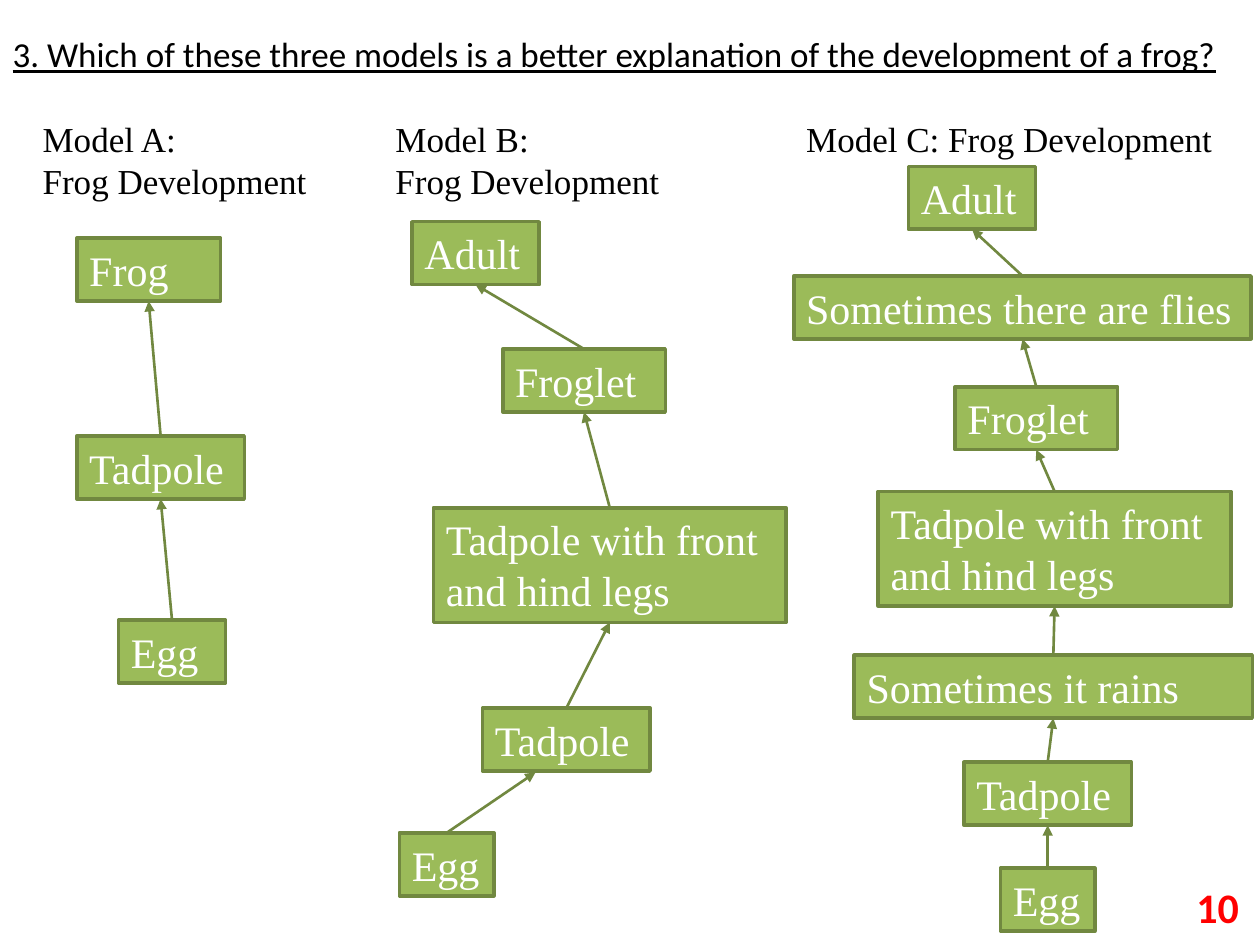
from lxml import etree
from pptx import Presentation
from pptx.dml.color import RGBColor
from pptx.enum.shapes import MSO_CONNECTOR, MSO_SHAPE
from pptx.enum.text import MSO_ANCHOR, PP_ALIGN
from pptx.oxml.ns import qn
from pptx.util import Pt

RECT = MSO_SHAPE.RECTANGLE
STRAIGHT = MSO_CONNECTOR.STRAIGHT
TOP, MIDDLE = MSO_ANCHOR.TOP, MSO_ANCHOR.MIDDLE
LEFT, RIGHT = PP_ALIGN.LEFT, PP_ALIGN.RIGHT
TOP_SITE, BOTTOM_SITE = 0, 2

PX = 9144
COLORS = {"box": "9BBB59", "edge": "718840", "box_text": "FFFFFF",
          "text": "000000", "number": "FF0000"}
SERIF, SANS = "Times New Roman", "Calibri"

TITLE = "3. Which of these three models is a better explanation of the development of a frog?"
PAGE_NUMBER = "10"
ROW, TALL_ROW = 50, 91
LEGS = "Tadpole with front and hind legs"

MODELS = [
    {"heading": ["Model A:", "Frog Development"], "at": (24, 88, 357, 74),
     "stages": [("Frog", 61, 189, 114, ROW),
                ("Tadpole", 61, 346, 133, ROW),
                ("Egg", 94, 492, 85, ROW)]},
    {"heading": ["Model B:", "Frog Development"], "at": (304, 88, 233, 74),
     "stages": [("Adult", 327, 176, 101, ROW),
                ("Froglet", 399, 277, 129, ROW),
                (LEGS, 344, 403, 280, TALL_ROW),
                ("Tadpole", 383, 562, 133, ROW),
                ("Egg", 317, 661, 75, ROW)],
     "free_end": ("Egg", 425, 613)},
    {"heading": ["Model C: Frog Development"], "at": (630, 88, 357, 44),
     "stages": [("Adult", 721, 132, 101, ROW),
                ("Sometimes there are flies", 630, 219, 363, ROW),
                ("Froglet", 758, 307, 129, ROW),
                (LEGS, 697, 390, 280, TALL_ROW),
                ("Sometimes it rains", 678, 520, 316, ROW),
                ("Tadpole", 765, 605, 133, ROW),
                ("Egg", 794, 689, 75, ROW)]},
]


def px(*values):
    return [v * PX for v in values]


def rgb(name):
    return RGBColor.from_string(COLORS[name])


def write(sp, lines, size, font, color, align=LEFT, anchor=TOP, bold=False, underline=False):
    tf = sp.text_frame
    tf.word_wrap = True
    tf.vertical_anchor = anchor
    tf.margin_left = tf.margin_right = 10 * PX
    tf.margin_top = tf.margin_bottom = 5 * PX
    for i, line in enumerate(lines):
        p = tf.add_paragraph() if i else tf.paragraphs[0]
        p.alignment = align
        r = p.add_run()
        r.text = line
        r.font.size = Pt(size)
        r.font.name = font
        r.font.bold = bold
        r.font.underline = underline
        r.font.color.rgb = rgb(color)


def add_stage(s, label, x, y, w, h):
    sp = s.shapes.add_shape(RECT, *px(x, y, w, h))
    sp.shadow.inherit = False
    sp.fill.solid()
    sp.fill.fore_color.rgb = rgb("box")
    sp.line.color.rgb = rgb("edge")
    sp.line.width = Pt(2)
    write(sp, [label], 24, SERIF, "box_text")
    return sp


def add_arrow(s, lower, upper, free_end=None):
    cn = s.shapes.add_connector(STRAIGHT, 0, 0, *px(*(free_end or (0, 0))))
    cn.begin_connect(lower, TOP_SITE)
    if not free_end:
        cn.end_connect(upper, BOTTOM_SITE)
    cn.line.color.rgb = rgb("edge")
    cn.line.width = Pt(1.5)
    etree.SubElement(cn.line._get_or_add_ln(), qn("a:tailEnd"), type="triangle")
    etree.SubElement(cn._element.spPr, qn("a:effectLst"))


def add_model(s, model):
    write(s.shapes.add_textbox(*px(*model["at"])), model["heading"], 20, SERIF, "text")
    boxes = [add_stage(s, *stage) for stage in model["stages"]]
    free_label, *free_end = model.get("free_end", (None,))
    for upper, lower in zip(boxes, boxes[1:]):
        is_free = lower.text_frame.text == free_label
        add_arrow(s, lower, upper, free_end if is_free else None)


def main():
    prs = Presentation()
    prs.slide_width, prs.slide_height = px(1000, 750)
    s = prs.slides.add_slide(prs.slide_layouts[5])
    title = s.shapes.title
    title.left, title.top, title.width, title.height = px(0, 21, 1000, 44)
    write(title, [TITLE], 20, SANS, "text", underline=True)
    for model in MODELS:
        add_model(s, model)
    number = s.shapes.add_textbox(*px(935, 700, 58, 40))
    write(number, [PAGE_NUMBER], 24, SANS, "number", RIGHT, MIDDLE, bold=True)
    prs.save("out.pptx")


if __name__ == "__main__":
    main()
